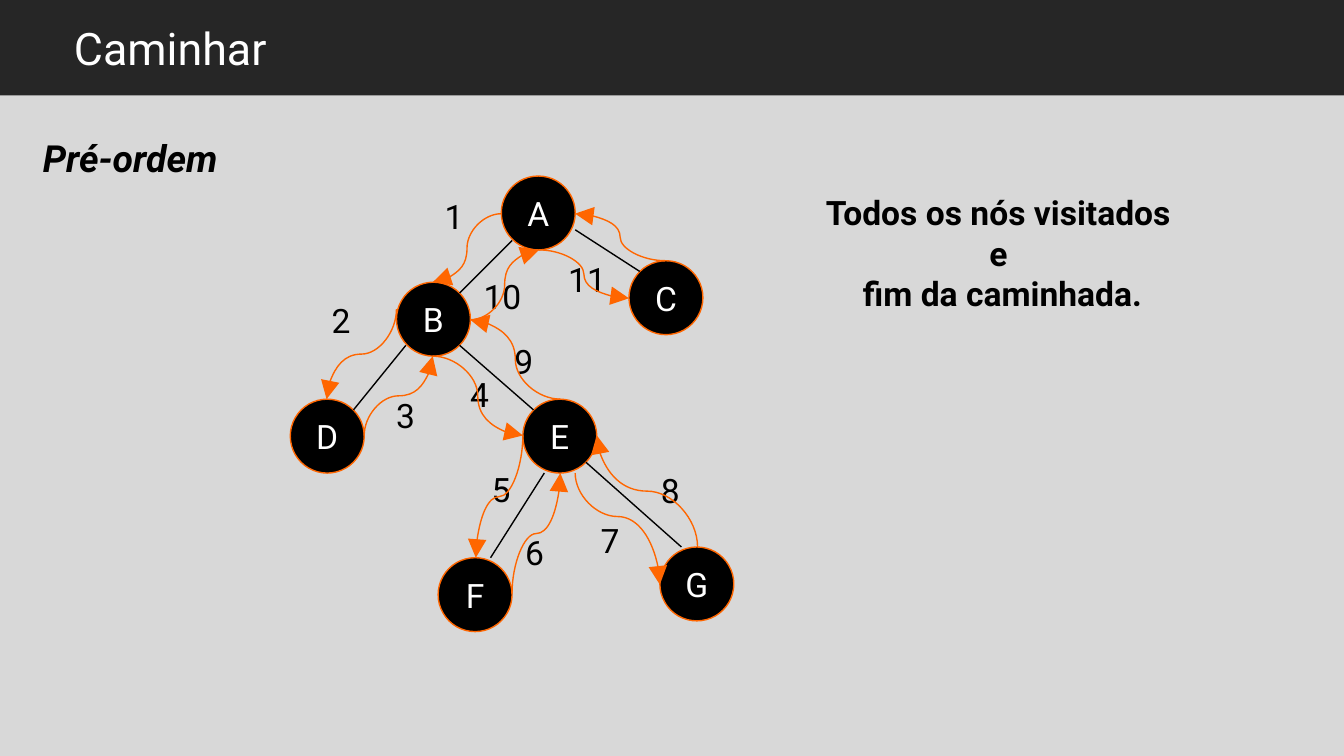
"""Build a slide that shows a pre-order walk through a binary tree."""
from dataclasses import dataclass

from pptx import Presentation
from pptx.dml.color import RGBColor
from pptx.enum.shapes import MSO_CONNECTOR, MSO_SHAPE
from pptx.enum.text import MSO_ANCHOR, PP_ALIGN
from pptx.oxml.ns import qn
from pptx.oxml.xmlchemy import OxmlElement
from pptx.util import Inches, Pt

STRAIGHT, CURVE = MSO_CONNECTOR.STRAIGHT, MSO_CONNECTOR.CURVE
OVAL, RECTANGLE = MSO_SHAPE.OVAL, MSO_SHAPE.RECTANGLE
TOP, MIDDLE = MSO_ANCHOR.TOP, MSO_ANCHOR.MIDDLE
LEFT, CENTER = PP_ALIGN.LEFT, PP_ALIGN.CENTER

COLORS = {
    "background": "D8D8D8",
    "bar": "262626",
    "ink": "000000",
    "paper": "FFFFFF",
    "walk": "FF6600",
}
FONT = "Roboto"
SLIDE_WIDTH = 10
SLIDE_HEIGHT = SLIDE_WIDTH * 9 / 16
NODE_SIZE = 0.55
LINE_WIDTH = 0.75
BAR_HEIGHT = 0.71


@dataclass
class Node:
    name: str
    left: float
    top: float


@dataclass
class Edge:
    start: tuple[float, float]
    end: tuple[float, float]


@dataclass
class Step(Edge):
    vertical: bool = False
    bend: float = 0.5


@dataclass
class Label:
    text: str
    left: float
    top: float
    width: float = 0.34


NODES = [
    Node("A", 3.73, 1.31),
    Node("B", 2.95, 2.1),
    Node("D", 2.16, 2.97),
    Node("C", 4.68, 1.94),
    Node("E", 3.89, 2.97),
    Node("F", 3.26, 4.15),
    Node("G", 4.91, 4.07),
]
EDGES = [
    Edge((3.81, 1.79), (3.42, 2.18)),
    Edge((3.02, 2.57), (2.63, 3.05)),
    Edge((4.28, 1.71), (4.76, 2.02)),
    Edge((3.42, 2.57), (3.97, 3.05)),
    Edge((4.05, 3.52), (3.65, 4.15)),
    Edge((4.36, 3.44), (5.07, 4.07)),
]
STEPS = [
    Step((3.73, 1.59), (3.22, 2.1)),
    Step((2.95, 2.3), (2.43, 2.97), vertical=True),
    Step((2.71, 3.24), (3.22, 2.65), vertical=True),
    Step((3.22, 2.65), (3.89, 3.24)),
    Step((3.89, 3.24), (3.54, 4.15), vertical=True),
    Step((3.81, 4.42), (4.17, 3.52), vertical=True),
    Step((4.28, 3.52), (4.91, 4.35), vertical=True, bend=0.39),
    Step((5.19, 4.07), (4.44, 3.24), vertical=True),
    Step((4.17, 2.97), (3.5, 2.38)),
    Step((3.5, 2.38), (4.01, 1.86)),
    Step((4.01, 1.86), (4.68, 2.22)),
    Step((4.95, 1.94), (4.28, 1.59)),
]
LABELS = [
    Label("1", 3.21, 1.41, 0.41),
    Label("2", 2.37, 2.18),
    Label("3", 2.85, 2.89),
    Label("4", 3.4, 2.73),
    Label("5", 3.56, 3.44),
    Label("6", 3.81, 3.91),
    Label("7", 4.37, 3.82),
    Label("8", 4.82, 3.45),
    Label("9", 3.73, 2.49),
    Label("10", 3.5, 2, 0.59),
    Label("11", 4.13, 1.88, 0.73),
]


def rgb(name: str) -> RGBColor:
    return RGBColor.from_string(COLORS[name])


def write(shape, lines: list[str], size: float = 18, color: str = "ink",
          align=LEFT, anchor=TOP, insets: tuple[float, float] = (0.1, 0.05),
          bold: bool = False, italic: bool = False) -> None:
    frame = shape.text_frame
    frame.word_wrap = True
    frame.vertical_anchor = anchor
    frame.margin_left = frame.margin_right = Inches(insets[0])
    frame.margin_top = frame.margin_bottom = Inches(insets[1])
    frame.text = "\n".join(lines)
    for paragraph in frame.paragraphs:
        paragraph.alignment = align
        font = paragraph.font
        font.name, font.size = FONT, Pt(size)
        font.bold, font.italic = bold, italic
        font.color.rgb = rgb(color)


def add_text(slide, left: float, top: float, width: float, height: float,
             lines: list[str], **style) -> None:
    box = slide.shapes.add_textbox(
        Inches(left), Inches(top), Inches(width), Inches(height))
    write(box, lines, **style)


def add_header(slide, text: str) -> None:
    bar = slide.shapes.add_shape(
        RECTANGLE, 0, 0, Inches(SLIDE_WIDTH), Inches(BAR_HEIGHT))
    bar.shadow.inherit = False
    bar.fill.solid()
    bar.fill.fore_color.rgb = rgb("bar")
    bar.line.fill.background()
    title = slide.shapes.title
    title.left, title.top = Inches(0.45), Inches(0)
    title.width, title.height = Inches(9.05), Inches(BAR_HEIGHT)
    write(title, [text], 24, "paper", anchor=MIDDLE, insets=(0.1, 0.1))
    bar._element.addnext(title._element)


def add_node(slide, node: Node) -> None:
    circle = slide.shapes.add_shape(
        OVAL, Inches(node.left), Inches(node.top), Inches(NODE_SIZE), Inches(NODE_SIZE))
    circle.shadow.inherit = False
    circle.fill.solid()
    circle.fill.fore_color.rgb = rgb("ink")
    circle.line.color.rgb = rgb("walk")
    circle.line.width = Pt(LINE_WIDTH)
    write(circle, [node.name], color="paper", align=CENTER, anchor=MIDDLE)


def add_line(slide, kind, edge: Edge, color: str):
    connector = slide.shapes.add_connector(
        kind, *(Inches(value) for value in (*edge.start, *edge.end)))
    connector.line.color.rgb = rgb(color)
    connector.line.width = Pt(LINE_WIDTH)
    connector._element.spPr.append(OxmlElement("a:effectLst"))
    return connector


def turned(step: Step) -> Edge:
    """Return the unrotated ends of a step that leaves its node vertically."""
    (x1, y1), (x2, y2) = step.start, step.end
    center_x, center_y = (x1 + x2) / 2, (y1 + y2) / 2
    half_width = abs(y2 - y1) / 2
    half_height = (x1 - x2) / 2 if y2 > y1 else (x2 - x1) / 2
    return Edge((center_x - half_width, center_y - half_height),
                (center_x + half_width, center_y + half_height))


def add_step(slide, step: Step) -> None:
    edge = turned(step) if step.vertical else step
    connector = add_line(slide, CURVE, edge, "walk")
    properties = connector._element.spPr
    if step.vertical:
        degrees = 90 if step.end[1] > step.start[1] else 270
        properties.find(qn("a:xfrm")).set("rot", str(degrees * 60000))
    guide = OxmlElement("a:gd")
    guide.set("name", "adj1")
    guide.set("fmla", f"val {round(step.bend * 100000)}")
    properties.find(qn("a:prstGeom")).find(qn("a:avLst")).append(guide)
    arrowhead = OxmlElement("a:tailEnd")
    for name, value in (("type", "triangle"), ("w", "lg"), ("len", "lg")):
        arrowhead.set(name, value)
    properties.find(qn("a:ln")).append(arrowhead)


def main() -> None:
    presentation = Presentation()
    presentation.slide_width = Inches(SLIDE_WIDTH)
    presentation.slide_height = Inches(SLIDE_HEIGHT)
    slide = presentation.slides.add_slide(presentation.slide_layouts[5])
    slide.background.fill.solid()
    slide.background.fill.fore_color.rgb = rgb("background")
    add_header(slide, "Caminhar")
    add_text(slide, 0.22, 0.82, 3, 0.71, ["Pré-ordem"], size=20, anchor=MIDDLE,
             insets=(0.1, 0.1), bold=True, italic=True)
    for node in NODES:
        add_node(slide, node)
    for edge in EDGES:
        add_line(slide, STRAIGHT, edge, "ink")
    add_text(slide, 5.96, 1.39, 3, 0.98,
             ["Todos os nós visitados ", "e ", "fim da caminhada."],
             align=CENTER, insets=(0.07, 0.04), bold=True)
    for label in LABELS:
        add_text(slide, label.left, label.top, label.width, 0.38, [label.text])
    for step in STEPS:
        add_step(slide, step)
    presentation.save("out.pptx")


if __name__ == "__main__":
    main()
